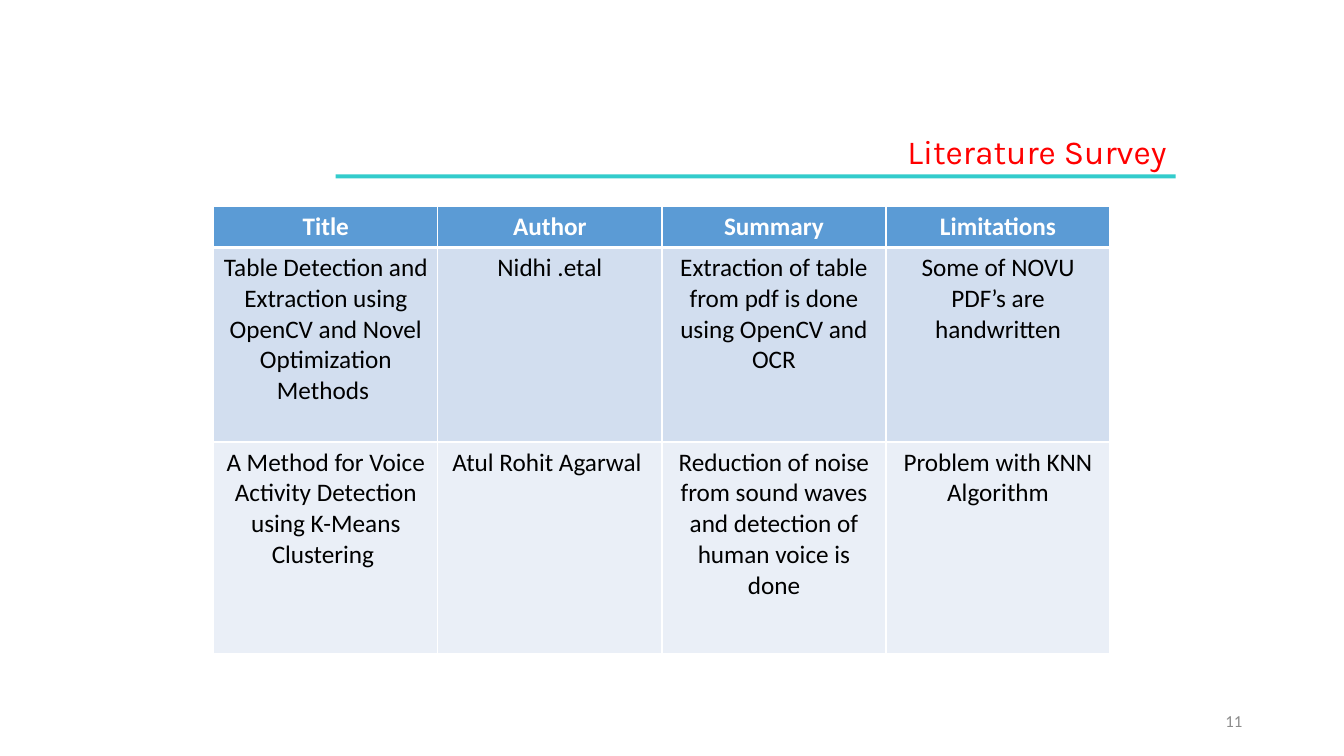
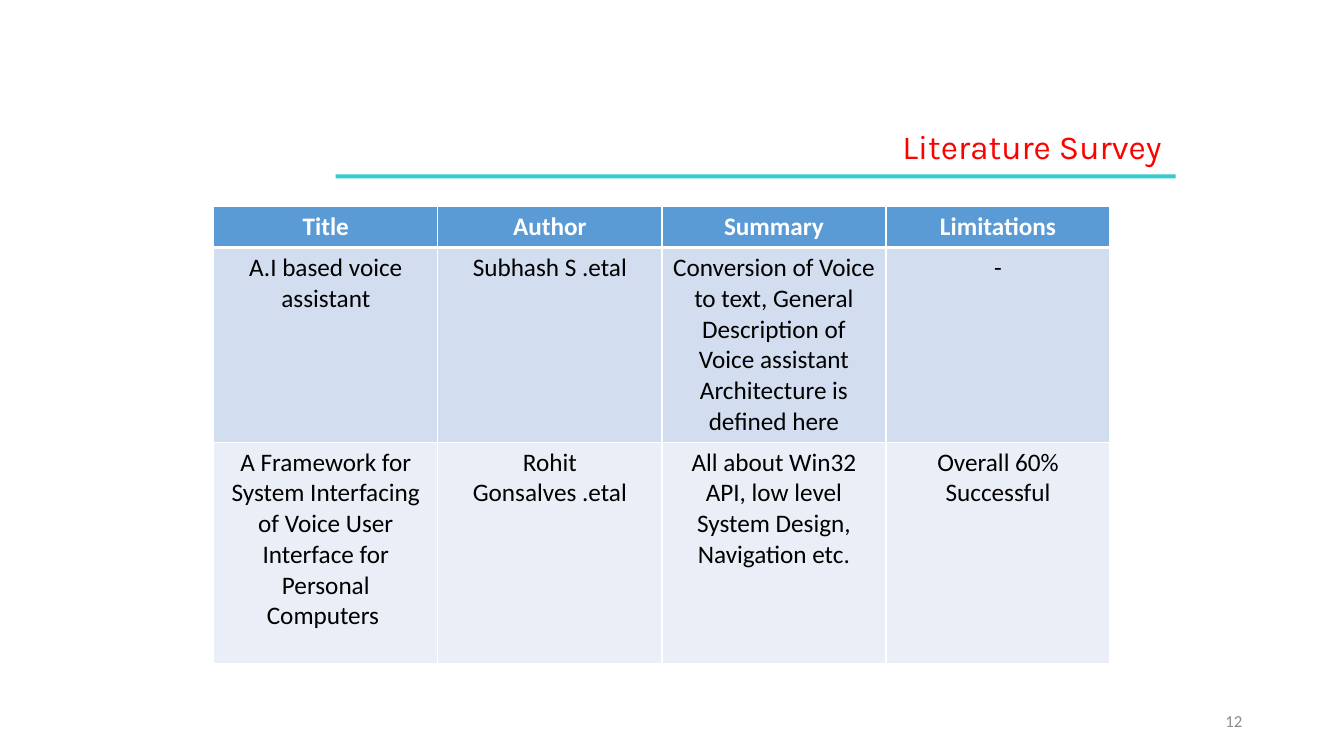
"""Build the two literature survey slides."""
from dataclasses import dataclass

from lxml.etree import SubElement as Sub
from pptx import Presentation
from pptx.dml.color import RGBColor as Rgb
from pptx.enum.shapes import MSO_SHAPE as Shape
from pptx.enum.text import MSO_ANCHOR as Anchor, MSO_AUTO_SIZE as Auto, PP_ALIGN as Align
from pptx.oxml.ns import qn
from pptx.util import Inches, Pt


@dataclass(frozen=True)
class Theme:
    title: str = "FF0000"
    rule: str = "33CCCC"
    head: str = "5B9BD5"
    bands: tuple = ("D2DEEF", "EAEFF7")
    white: str = "FFFFFF"
    ink: str = "000000"
    grey: str = "8C8C8C"
    face: str = "Karla"
    body: str = "Calibri"
    big: int = 24
    mid: int = 18
    small: int = 12


theme = Theme()


def style(para, face, size, color, align, bold=False):
    font = para.font
    font.name, font.size, font.bold = face, Pt(size), bold
    font.color.rgb = Rgb.from_string(color)
    para.alignment = align


def border(cell, top, low):
    props = cell._tc.get_or_add_tcPr()
    for side, width in (("L", 1), ("R", 1), ("T", top), ("B", low)):
        line = Sub(props, qn(f"a:ln{side}"), w=str(Pt(width)))
        Sub(Sub(line, qn("a:solidFill")), qn("a:srgbClr"), val=theme.white)


heads = ("Title", "Author", "Summary", "Limitations")
pages = (
    (11, 1.25, Align.RIGHT, (0.4, 1.93, 2.1), (
        ("Table Detection and Extraction using OpenCV and Novel Optimization Methods ",
         "Nidhi .etal",
         "Extraction of table from pdf is done using OpenCV and OCR",
         "Some of NOVU PDF’s are handwritten"),
        ("A Method for Voice Activity Detection using K-Means Clustering ",
         "Atul Rohit Agarwal ",
         "Reduction of noise from sound waves and detection of human voice is done",
         "Problem with KNN Algorithm"))),
    (12, 1.2, Align.LEFT, (0.4, 1.9, 2.2), (
        ("A.I based voice assistant",
         "Subhash S .etal",
         "Conversion of Voice to text, General Description of Voice assistant "
         "Architecture is defined here",
         "-"),
        ("A Framework for System Interfacing of Voice User Interface for Personal Computers ",
         "Rohit Gonsalves .etal",
         "All about Win32 API, low level System Design, Navigation etc.",
         "Overall 60% Successful"))),
)

deck = Presentation()
deck.slide_width, deck.slide_height = Inches(13.33), Inches(7.5)

for number, top, align, sizes, body in pages:
    slide = deck.slides.add_slide(deck.slide_layouts[5])
    shapes = slide.shapes

    title = shapes.title
    title.left, title.top = Inches(8.85), Inches(top)
    title.width, title.height = Inches(2.82), Inches(0.5)
    frame = title.text_frame
    frame.text = "Literature Survey"
    frame.word_wrap, frame.auto_size = False, Auto.NONE
    frame.vertical_anchor = Anchor.TOP
    style(frame.paragraphs[0], theme.face, theme.big, theme.title, align)

    rule = shapes.add_shape(Shape.RECTANGLE, Inches(3.33), Inches(1.73), Inches(8.33), Inches(0.04))
    rule.shadow.inherit = False
    rule.fill.solid()
    rule.fill.fore_color.rgb = Rgb.from_string(theme.rule)
    rule.line.fill.background()

    rows = (heads, *body)
    grid = shapes.add_table(len(rows), len(heads), Inches(2.12), Inches(2.05),
                            Inches(8.89), Inches(sum(sizes))).table
    fills = (theme.head, *theme.bands)
    for r, (row, size, fill) in enumerate(zip(rows, sizes, fills)):
        grid.rows[r].height = Inches(size)
        first = r == 0
        for c, text in enumerate(row):
            cell = grid.cell(r, c)
            cell.text = text
            border(cell, 3 if r == 1 else 1, 3 if first else 1)
            cell.fill.solid()
            cell.fill.fore_color.rgb = Rgb.from_string(fill)
            style(cell.text_frame.paragraphs[0], theme.body, theme.mid,
                  theme.white if first else theme.ink, Align.CENTER, first)

    foot = shapes.add_textbox(Inches(9.42), Inches(6.95), Inches(3), Inches(0.4)).text_frame
    foot.text = str(number)
    foot.word_wrap = True
    foot.vertical_anchor = Anchor.MIDDLE
    style(foot.paragraphs[0], theme.body, theme.small, theme.grey, Align.RIGHT)

deck.save("out.pptx")
